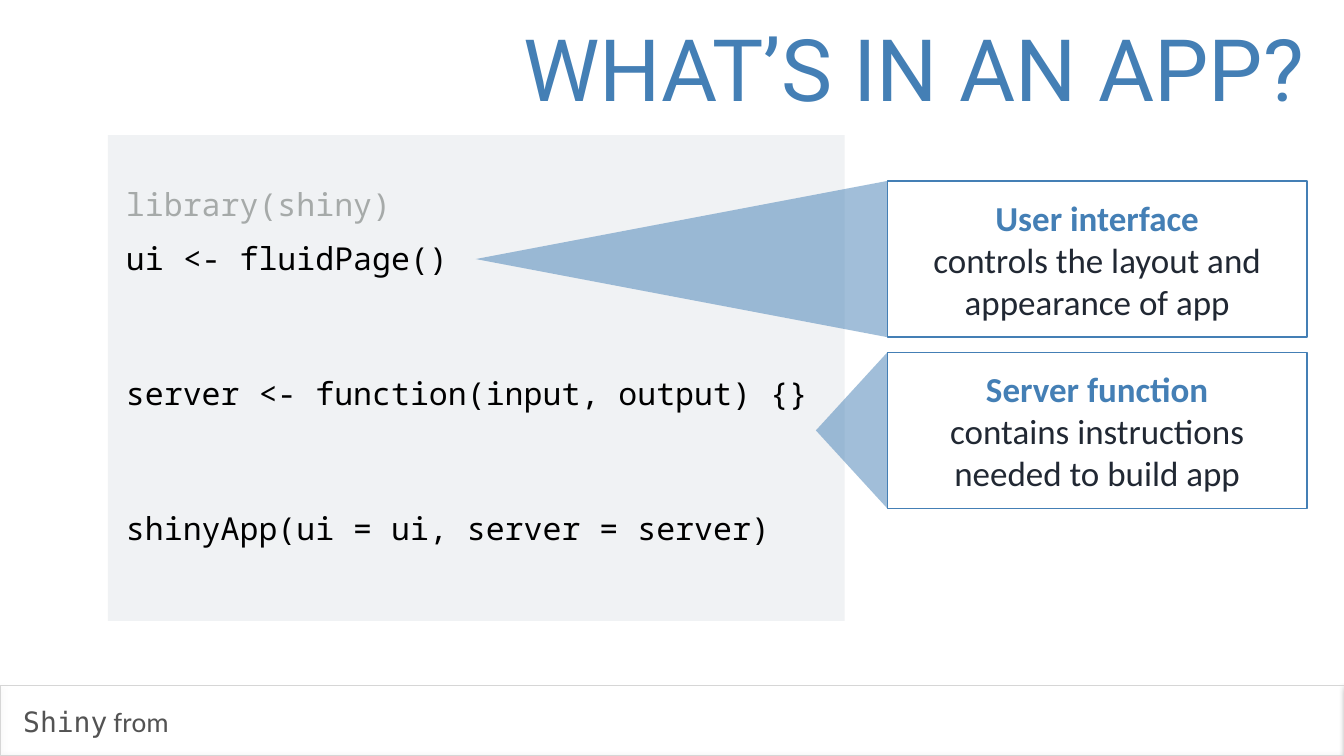
from dataclasses import dataclass

from lxml.etree import SubElement
from pptx import Presentation
from pptx.dml.color import RGBColor
from pptx.enum.shapes import MSO_SHAPE
from pptx.enum.text import MSO_ANCHOR, PP_ALIGN
from pptx.oxml.ns import qn
from pptx.shapes.autoshape import Shape
from pptx.slide import Slide
from pptx.text.text import TextFrame
from pptx.util import Pt

BLUE = RGBColor(0x44, 0x7F, 0xB5)
INK = RGBColor(0x21, 0x28, 0x33)
BLACK = RGBColor(0x00, 0x00, 0x00)
WHITE = RGBColor(0xFF, 0xFF, 0xFF)
PANEL_GREY = RGBColor(0xF0, 0xF2, 0xF4)
DIMMED = RGBColor(0xA6, 0xAA, 0xA9)
FOOTER_GREY = RGBColor(0x53, 0x53, 0x53)
FOOTER_RULE = RGBColor(0xD6, 0xD6, 0xD6)

SLIDE_WIDTH, SLIDE_HEIGHT = 1920.24, 1080
CALLOUT_LEFT, CALLOUT_WIDTH, CALLOUT_HEIGHT = 1267.9, 599.8, 223.2


@dataclass(frozen=True)
class Box:
    left: float
    top: float
    width: float
    height: float


@dataclass(frozen=True)
class CodeLine:
    code: str
    color: RGBColor
    gap_before: float


@dataclass(frozen=True)
class Callout:
    top: float
    pointer_tip: float
    heading: str
    details: tuple[str, ...]


CODE = (
    CodeLine("library(shiny)", DIMMED, 0),
    CodeLine("ui <- fluidPage()", BLACK, 23),
    CodeLine("server <- function(input, output) {}", BLACK, 139),
    CodeLine("shinyApp(ui = ui, server = server)", BLACK, 139),
)

CALLOUTS = (
    Callout(258.5, 679.7, "User interface",
            ("controls the layout and appearance of app",)),
    Callout(503.3, 1165.7, "Server function",
            ("contains instructions", "needed to build app")),
)


def set_insets(frame: TextFrame, inset: float) -> None:
    frame.margin_left = frame.margin_right = Pt(inset)
    frame.margin_top = frame.margin_bottom = Pt(inset)


def add_text(slide: Slide, box: Box, inset: float, wrap: bool = False,
             anchor: MSO_ANCHOR = MSO_ANCHOR.MIDDLE) -> TextFrame:
    frame = slide.shapes.add_textbox(
        Pt(box.left), Pt(box.top), Pt(box.width), Pt(box.height)).text_frame
    frame.word_wrap = wrap
    frame.vertical_anchor = anchor
    set_insets(frame, inset)
    return frame


def style(font, name: str, size: float, color: RGBColor, bold: bool = False) -> None:
    font.name = name
    font.size = Pt(size)
    font.color.rgb = color
    font.bold = bold


def add_rectangle(slide: Slide, box: Box, fill: RGBColor | None = None,
                  outline: RGBColor | None = None, weight: float = 1) -> Shape:
    rectangle = slide.shapes.add_shape(
        MSO_SHAPE.RECTANGLE, Pt(box.left), Pt(box.top), Pt(box.width), Pt(box.height))
    rectangle.shadow.inherit = False
    if fill is None:
        rectangle.fill.background()
    else:
        rectangle.fill.solid()
        rectangle.fill.fore_color.rgb = fill
    if outline is None:
        rectangle.line.fill.background()
    else:
        rectangle.line.color.rgb = outline
        rectangle.line.width = Pt(weight)
    return rectangle


def draw_footer(slide: Slide) -> None:
    bar = add_rectangle(slide, Box(0.7, 979.2, SLIDE_WIDTH, 100.1), outline=FOOTER_RULE)
    effects = bar.element.spPr.find(qn("a:effectLst"))
    shadow = SubElement(effects, qn("a:outerShdw"), blurRad=str(Pt(4)),
                        dist=str(Pt(1.6)), dir="5400000", rotWithShape="0")
    shade = SubElement(shadow, qn("a:srgbClr"), val=str(BLACK))
    SubElement(shade, qn("a:alpha"), val="50000")

    credit = add_text(slide, Box(29.2, 1003, 217.8, 56.2), 4).paragraphs[0]
    for words, typeface in (("Shiny", "DejaVu Sans Mono"), (" from", "Calibri")):
        run = credit.add_run()
        run.text = words
        style(run.font, typeface, 40, FOOTER_GREY)


def draw_title(slide: Slide) -> None:
    title = add_text(slide, Box(52.6, 16.6, 1815.1, 157), 4).paragraphs[0]
    title.text = "WHAT’S IN AN APP?"
    title.alignment = PP_ALIGN.RIGHT
    style(title.font, "Roboto", 123, BLUE)


def draw_code(slide: Slide) -> None:
    add_rectangle(slide, Box(154.1, 193, 1052.6, 694.1), PANEL_GREY)
    listing = add_text(slide, Box(174.2, 257.8, 1031.8, 565.2), 5.8,
                       wrap=True, anchor=MSO_ANCHOR.TOP)
    for index, line in enumerate(CODE):
        paragraph = listing.add_paragraph() if index else listing.paragraphs[0]
        paragraph.text = line.code
        paragraph.space_before = Pt(line.gap_before)
        style(paragraph.font, "Noto Sans Mono", 45.1, line.color)


def draw_callout(slide: Slide, callout: Callout) -> None:
    card = add_rectangle(
        slide, Box(CALLOUT_LEFT, callout.top, CALLOUT_WIDTH, CALLOUT_HEIGHT),
        WHITE, BLUE, 2)
    frame = card.text_frame
    frame.word_wrap = True
    frame.vertical_anchor = MSO_ANCHOR.MIDDLE
    set_insets(frame, 4)
    for index, words in enumerate((callout.heading, *callout.details)):
        paragraph = frame.add_paragraph() if index else frame.paragraphs[0]
        paragraph.text = words
        paragraph.alignment = PP_ALIGN.CENTER
        style(paragraph.font, "Calibri", 50, INK if index else BLUE, bold=not index)

    bottom = callout.top + CALLOUT_HEIGHT
    middle = callout.top + CALLOUT_HEIGHT / 2
    outline = slide.shapes.build_freeform(Pt(callout.pointer_tip), Pt(middle))
    outline.add_line_segments(
        [(Pt(CALLOUT_LEFT), Pt(callout.top)), (Pt(CALLOUT_LEFT), Pt(bottom))])
    pointer = outline.convert_to_shape()
    pointer.shadow.inherit = False
    pointer.line.fill.background()
    pointer.fill.solid()
    pointer.fill.fore_color.rgb = BLUE
    tint = pointer.element.spPr.find(qn("a:solidFill")).find(qn("a:srgbClr"))
    SubElement(tint, qn("a:alpha"), val="50000")


def main() -> None:
    presentation = Presentation()
    presentation.slide_width = Pt(SLIDE_WIDTH)
    presentation.slide_height = Pt(SLIDE_HEIGHT)
    slide = presentation.slides.add_slide(presentation.slide_layouts[6])
    draw_footer(slide)
    draw_title(slide)
    draw_code(slide)
    for callout in CALLOUTS:
        draw_callout(slide, callout)
    presentation.save("out.pptx")


if __name__ == "__main__":
    main()
